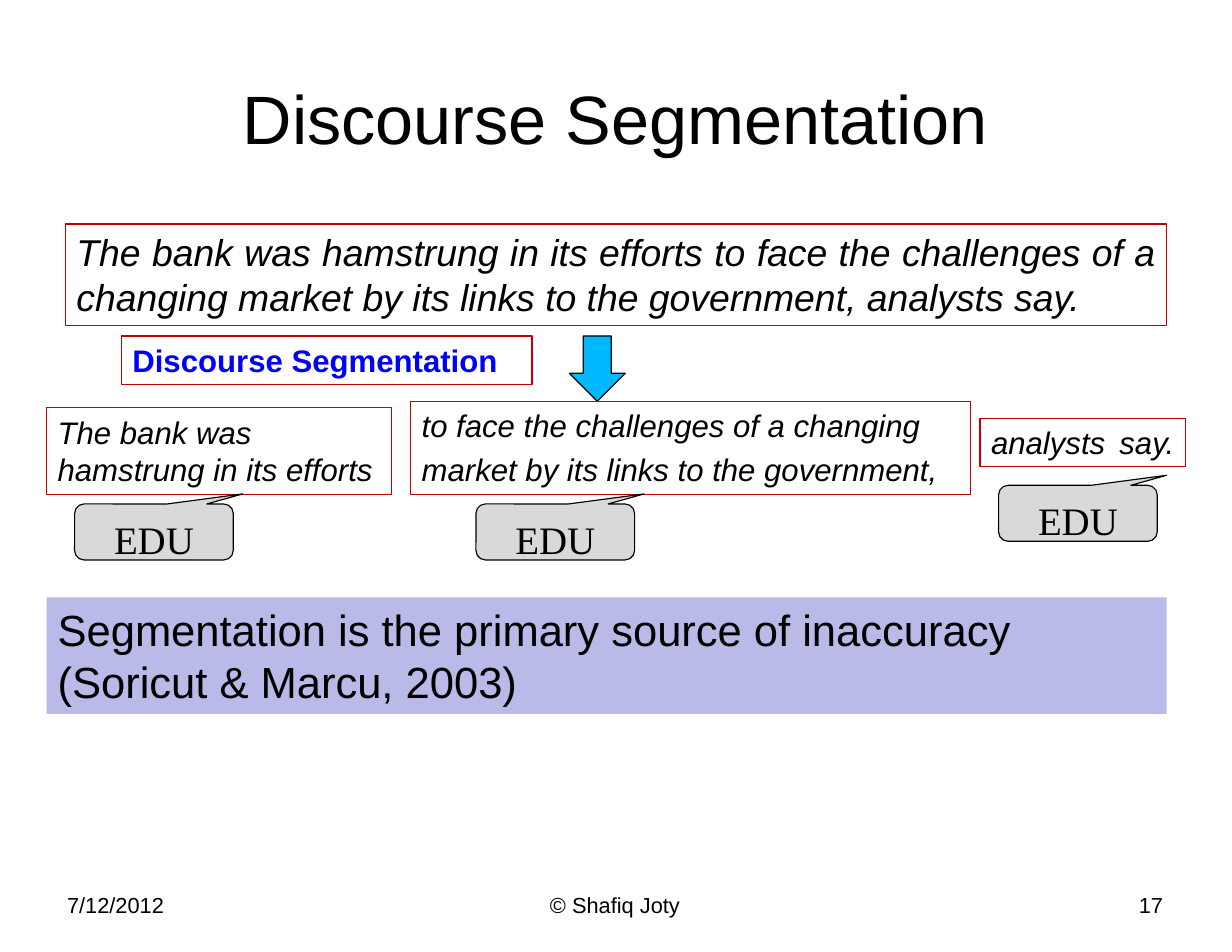
from dataclasses import dataclass
from typing import Optional

from lxml.etree import SubElement
from pptx import Presentation
from pptx.dml.color import RGBColor
from pptx.enum.shapes import MSO_SHAPE
from pptx.enum.text import MSO_ANCHOR, PP_ALIGN
from pptx.oxml.ns import qn
from pptx.util import Inches, Pt

BLACK = RGBColor(0x00, 0x00, 0x00)
RED = RGBColor(0xC0, 0x00, 0x00)
BLUE = RGBColor(0x00, 0x00, 0xFF)
SKY = RGBColor(0x00, 0xB8, 0xFF)
GRAY = RGBColor(0xD9, 0xD9, 0xD9)
LAVENDER = RGBColor(0xA3, 0xA3, 0xE0)

CELL = Inches(1) // 12
COLUMNS, ROWS = 132, 102


@dataclass(frozen=True)
class Area:
    column: float
    row: float
    columns: float
    rows: float

    def lengths(self) -> tuple:
        return tuple(round(value * CELL) for value in
                     (self.column, self.row, self.columns, self.rows))


@dataclass(frozen=True)
class Sentence:
    area: Area
    lines: tuple
    size: int = 20
    align: PP_ALIGN = PP_ALIGN.LEFT
    bold: bool = False
    italic: bool = True
    color: RGBColor = BLACK


@dataclass(frozen=True)
class Caption:
    area: Area
    text: str
    align: PP_ALIGN
    size: int = 14
    anchor: MSO_ANCHOR = MSO_ANCHOR.TOP


SENTENCES = (
    Sentence(Area(7, 24, 118, 10.9),
             ("The bank was hamstrung in its efforts to face the challenges of a "
              "changing market by its links to the government, analysts say. ",),
             size=24, align=PP_ALIGN.JUSTIFY),
    Sentence(Area(5, 43.7, 37, 9.3), ("The bank was hamstrung in its efforts",)),
    Sentence(Area(44, 43, 60, 10),
             ("to face the challenges of a changing",
              "market by its links to the government,")),
    Sentence(Area(105, 44.8, 22, 5.2), ("analysts say. ",), align=PP_ALIGN.JUSTIFY),
    Sentence(Area(13, 36, 44, 5.2), ("Discourse Segmentation",),
             align=PP_ALIGN.JUSTIFY, bold=True, italic=False, color=BLUE),
)

CAPTIONS = (
    Caption(Area(6.6, 4.1, 118.8, 17), "Discourse Segmentation",
            PP_ALIGN.CENTER, 44, MSO_ANCHOR.MIDDLE),
    Caption(Area(6, 94.9, 30.8, 7.1), "7/12/2012", PP_ALIGN.LEFT),
    Caption(Area(45, 94.9, 41.8, 7.1), "© Shafiq Joty", PP_ALIGN.CENTER),
    Caption(Area(95, 94.9, 30.8, 7.1), "17", PP_ALIGN.RIGHT),
)

CALLOUT_CORNERS = ((8, 54), (107, 52), (51, 54))


def write_text(shape, *lines: str, size: int, font: str = "Arial",
               color: RGBColor = BLACK, bold: bool = False, italic: bool = False,
               align: PP_ALIGN = PP_ALIGN.LEFT,
               anchor: MSO_ANCHOR = MSO_ANCHOR.TOP) -> None:
    frame = shape.text_frame
    frame.word_wrap = True
    frame.vertical_anchor = anchor
    for index, line in enumerate(lines):
        paragraph = frame.add_paragraph() if index else frame.paragraphs[0]
        paragraph.alignment = align
        run = paragraph.add_run()
        run.text = line
        run.font.name = font
        run.font.size = Pt(size)
        run.font.bold = bold
        run.font.italic = italic
        run.font.color.rgb = color


def draw_shape(slide, kind: MSO_SHAPE, area: Area,
               fill: Optional[RGBColor] = None, line: Optional[RGBColor] = None):
    shape = slide.shapes.add_shape(kind, *area.lengths())
    shape.shadow.inherit = False
    if fill is None:
        shape.fill.background()
    else:
        shape.fill.solid()
        shape.fill.fore_color.rgb = fill
    if line is None:
        shape.line.fill.background()
    else:
        shape.line.color.rgb = line
        shape.line.width = Pt(0.75)
    return shape


def draw_caption(slide, caption: Caption) -> None:
    box = slide.shapes.add_textbox(*caption.area.lengths())
    write_text(box, caption.text, size=caption.size,
               align=caption.align, anchor=caption.anchor)


def draw_sentence(slide, sentence: Sentence):
    shape = draw_shape(slide, MSO_SHAPE.RECTANGLE, sentence.area, line=RED)
    write_text(shape, *sentence.lines, size=sentence.size, align=sentence.align,
               bold=sentence.bold, italic=sentence.italic, color=sentence.color)
    return shape


def add_trailing_space(shape, size: int) -> None:
    run = shape.text_frame.paragraphs[-1].add_run()
    run.text = " "
    run.font.name = "Arial"
    run.font.size = Pt(size)
    run.font.italic = True


def draw_callout(slide, column: float, row: float) -> None:
    shape = draw_shape(slide, MSO_SHAPE.ROUNDED_RECTANGULAR_CALLOUT,
                       Area(column, row, 17, 6), fill=GRAY, line=BLACK)
    for index, value in enumerate((0.56, -0.68, 0.17)):
        shape.adjustments[index] = value
    shape.text_frame.margin_top = Inches(0.12)
    shape.text_frame.margin_bottom = 0
    write_text(shape, "EDU", size=25, font="Times New Roman",
               align=PP_ALIGN.CENTER, anchor=MSO_ANCHOR.MIDDLE)


def draw_conclusion(slide) -> None:
    shape = draw_shape(slide, MSO_SHAPE.RECTANGLE, Area(5, 64, 120, 12.5), fill=LAVENDER)
    color = shape.fill._xPr.find(qn("a:solidFill")).find(qn("a:srgbClr"))
    SubElement(color, qn("a:alpha")).set("val", "74000")
    write_text(shape, "Segmentation is the primary source of inaccuracy "
                      "(Soricut & Marcu, 2003)", size=28)


def main() -> None:
    presentation = Presentation()
    presentation.slide_width = COLUMNS * CELL
    presentation.slide_height = ROWS * CELL
    slide = presentation.slides.add_slide(presentation.slide_layouts[6])

    for caption in CAPTIONS:
        draw_caption(slide, caption)
    draw_shape(slide, MSO_SHAPE.DOWN_ARROW, Area(61, 36, 6, 7), fill=SKY, line=BLACK)
    for sentence in SENTENCES:
        shape = draw_sentence(slide, sentence)
        if len(sentence.lines) > 1:
            add_trailing_space(shape, 24)
    for column, row in CALLOUT_CORNERS:
        draw_callout(slide, column, row)
    draw_conclusion(slide)
    presentation.save("out.pptx")


if __name__ == "__main__":
    main()
